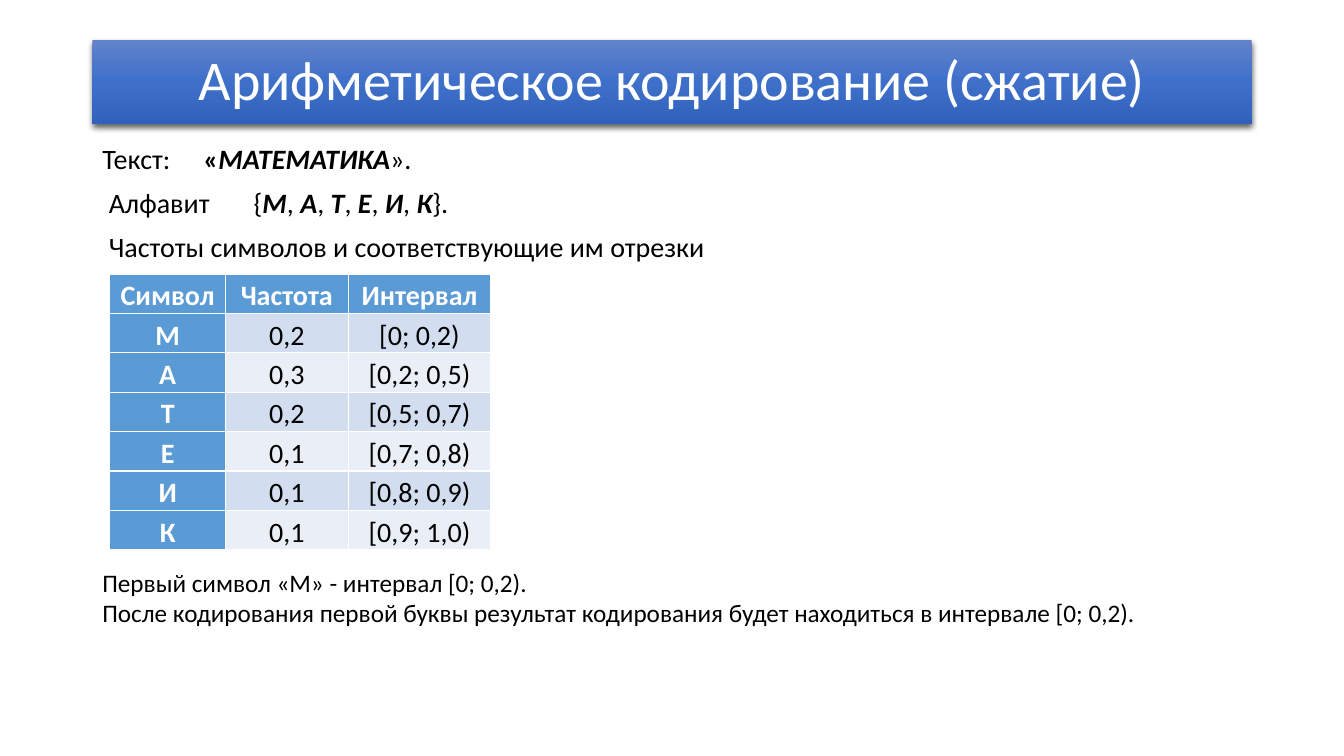
"""Build a slide on arithmetic coding with a table of symbol frequencies and intervals."""
import lxml.etree
import pptx
import pptx.dml.color
import pptx.enum.text
import pptx.oxml
import pptx.oxml.ns
import pptx.util

Pt = pptx.util.Pt
THEME = {
    "font": "Calibri",
    "white": "FFFFFF", "black": "000000",
    "banner": [(0, "6183CB"), (50, "3E70CA"), (100, "3062BB")],
    "header": "5B9BD5", "bands": ["D2DEEF", "EAEFF7"],
    "title_size": 40, "body_size": 20, "note_size": 18,
}


def format_run(run, size, color, bold=False, italic=False):
    run.font.name = THEME["font"]
    run.font.size = Pt(THEME[size])
    run.font.color.rgb = pptx.dml.color.RGBColor.from_string(THEME[color])
    run.font.bold = bold
    run.font.italic = italic


def add_element(parent, tag, **attributes):
    element = lxml.etree.SubElement(parent, pptx.oxml.ns.qn(tag))
    for key, value in attributes.items():
        element.set(key, str(value))
    return element


deck = pptx.Presentation()
deck.slide_width, deck.slide_height = Pt(960), Pt(540)
slide = deck.slides.add_slide(deck.slide_layouts[1])

banner = slide.shapes.title
banner.left, banner.top, banner.width, banner.height = Pt(66), Pt(28.8), Pt(828), Pt(59.8)
banner.text_frame.text = "Арифметическое кодирование (сжатие)"
banner.text_frame.auto_size = pptx.enum.text.MSO_AUTO_SIZE.NONE
banner.text_frame.vertical_anchor = pptx.enum.text.MSO_ANCHOR.MIDDLE
heading = banner.text_frame.paragraphs[0]
heading.alignment = pptx.enum.text.PP_ALIGN.CENTER
heading.line_spacing = 0.9
format_run(heading.runs[0], "title_size", "white")

gradient = add_element(banner.element.spPr, "a:gradFill", rotWithShape=1)
stops = add_element(gradient, "a:gsLst")
for position, color in THEME["banner"]:
    add_element(add_element(stops, "a:gs", pos=position * 1000), "a:srgbClr", val=color)
add_element(gradient, "a:lin", ang=5400000, scaled=0)
effects = add_element(banner.element.spPr, "a:effectLst")
shadow = add_element(effects, "a:outerShdw", blurRad=Pt(4.5), dist=Pt(1.5),
                     dir=5400000, algn="ctr", rotWithShape=0)
shadow_color = add_element(shadow, "a:srgbClr", val=THEME["black"])
add_element(shadow_color, "a:alpha", val=63000)

frequencies = [
    ("М", "0,2", "[0; 0,2)"),
    ("А", "0,3", "[0,2; 0,5)"),
    ("Т", "0,2", "[0,5; 0,7)"),
    ("Е", "0,1", "[0,7; 0,8)"),
    ("И", "0,1", "[0,8; 0,9)"),
    ("К", "0,1", "[0,9; 1,0)"),
]

alphabet = [(" Алфавит\t{", False, False)]
for index, (symbol, _, _) in enumerate(frequencies):
    if index:
        alphabet.append((", ", False, False))
    alphabet.append((symbol, True, True))
alphabet.append(("}.", False, False))

statements = [
    (62.3, [("Текст:\t", False, False), ("«", True, False),
            ("МАТЕМАТИКА", True, True), ("».", False, False)]),
    (86, alphabet),
    (86, [(" Частоты символов и соответствующие им отрезки", False, False)]),
]

body = slide.placeholders[1]
body.left, body.top, body.width, body.height = Pt(66), Pt(100), Pt(828), Pt(426)
body.text_frame.auto_size = pptx.enum.text.MSO_AUTO_SIZE.NONE
for index, (tab, pieces) in enumerate(statements):
    statement = body.text_frame.add_paragraph() if index else body.text_frame.paragraphs[0]
    statement.line_spacing = 0.9
    statement.space_before = Pt(10)
    for words, bold, italic in pieces:
        run = statement.add_run()
        run.text = words
        format_run(run, "body_size", "black", bold, italic)
    layout = statement._p.get_or_add_pPr()
    layout.set("marL", "0")
    layout.set("indent", "0")
    add_element(layout, "a:buNone")
    add_element(add_element(layout, "a:tabLst"), "a:tab", pos=Pt(tab), algn="l")

rows = [("Символ", "Частота", "Интервал")] + frequencies
column_widths = [82.6, 87.6, 102]
intervals = slide.shapes.add_table(len(rows), len(column_widths), Pt(78.5), Pt(195.8),
                                   Pt(sum(column_widths)), Pt(28 * len(rows))).table
intervals.first_col = True
for column, width in zip(intervals.columns, column_widths):
    column.width = Pt(width)
for row_index, row in enumerate(rows):
    intervals.rows[row_index].height = Pt(28)
    for column_index, value in enumerate(row):
        is_header = row_index == 0 or column_index == 0
        cell = intervals.cell(row_index, column_index)
        cell.margin_left = cell.margin_right = cell.margin_bottom = Pt(0)
        cell.margin_top = Pt(3.6)
        cell.vertical_anchor = pptx.enum.text.MSO_ANCHOR.MIDDLE
        cell.fill.solid()
        cell.fill.fore_color.rgb = pptx.dml.color.RGBColor.from_string(
            THEME["header"] if is_header else THEME["bands"][(row_index - 1) % 2])
        cell.text_frame.text = value
        entry = cell.text_frame.paragraphs[0]
        entry.alignment = pptx.enum.text.PP_ALIGN.CENTER
        format_run(entry.runs[0], "body_size", "white" if is_header else "black", is_header)

conclusion = slide.shapes.add_textbox(Pt(66), Pt(401.8), Pt(791), Pt(51)).text_frame
conclusion.word_wrap = True
conclusion.text = (
    "Первый символ «М» - интервал [0; 0,2).\n"
    "После кодирования первой буквы результат кодирования "
    "будет находиться в интервале [0; 0,2).")
for sentence in conclusion.paragraphs:
    format_run(sentence.runs[0], "note_size", "black")

deck.save("out.pptx")
